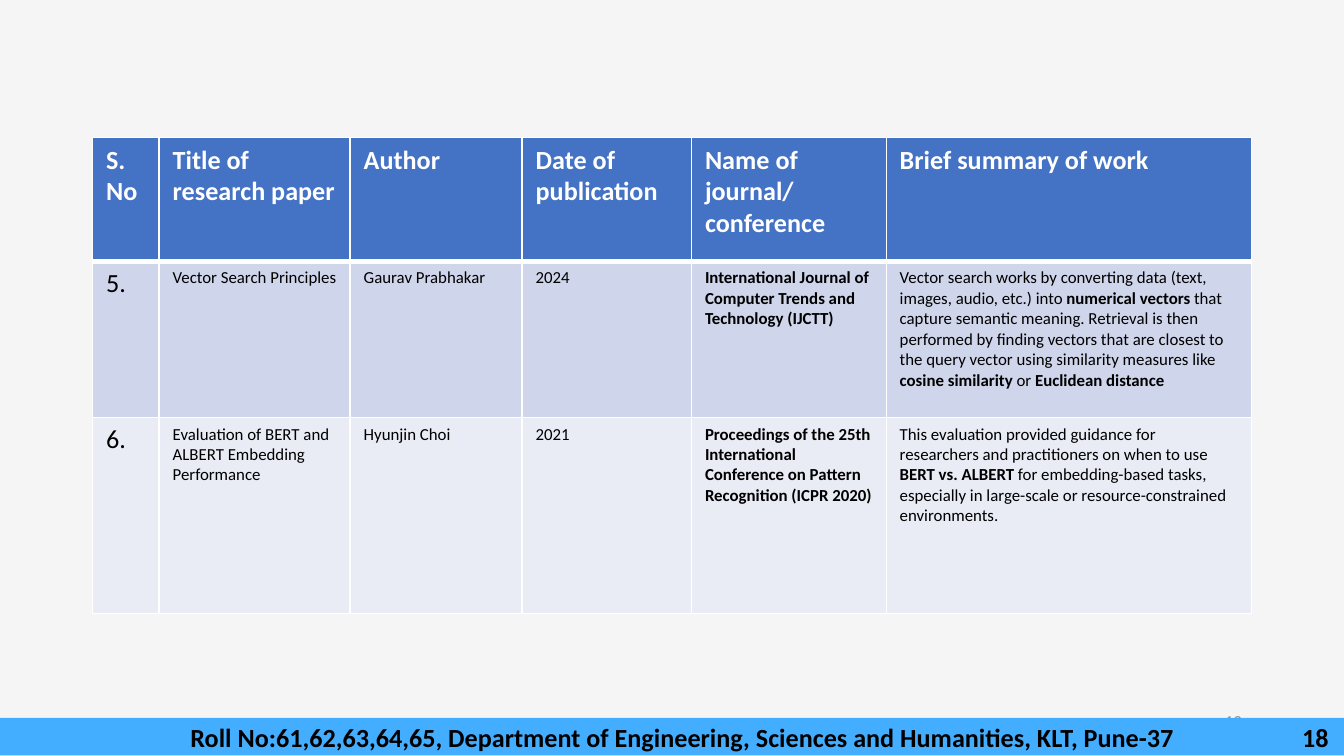
from lxml import etree
from pptx import Presentation
from pptx.dml.color import RGBColor
from pptx.enum.shapes import MSO_SHAPE
from pptx.enum.text import MSO_ANCHOR, PP_ALIGN
from pptx.oxml.ns import qn
from pptx.util import Cm, Pt

RECT = MSO_SHAPE.RECTANGLE
MIDDLE = MSO_ANCHOR.MIDDLE
LEFT, RIGHT = PP_ALIGN.LEFT, PP_ALIGN.RIGHT

WHITE = RGBColor(0xFF, 0xFF, 0xFF)
BLACK = RGBColor(0, 0, 0)
GRAY = RGBColor(0x8C, 0x8C, 0x8C)
PAPER = RGBColor(0xF5, 0xF5, 0xF5)
SKY = RGBColor(0x43, 0xAE, 0xFF)
BLUE = RGBColor(0x44, 0x72, 0xC4)
BANDS = [RGBColor(0xCF, 0xD5, 0xEA), RGBColor(0xE9, 0xEB, 0xF5)]

HEADS = ["S.\nNo", "Title of research paper", "Author", "Date of publication",
         "Name of journal/\nconference", "Brief summary of work"]
PAPERS = [
    ["5.", "Vector Search Principles", "Gaurav Prabhakar", "2024",
     "**International Journal of Computer Trends and Technology (IJCTT)**",
     "Vector search works by converting data (text, images, audio, etc.) into "
     "**numerical vectors** that capture semantic meaning. Retrieval is then "
     "performed by finding vectors that are closest to the query vector using "
     "similarity measures like **cosine similarity** or **Euclidean distance**"],
    ["6.", "Evaluation of BERT and ALBERT Embedding Performance", "Hyunjin Choi", "2021",
     "**Proceedings of the 25th International Conference on Pattern "
     "Recognition (ICPR 2020)**",
     "This evaluation provided guidance for researchers and practitioners on when "
     "to use **BERT vs. ALBERT** for embedding-based tasks, especially in "
     "large-scale or resource-constrained environments."],
]
FOOTER = ("\tRoll No:61,62,63,64,65, Department of Engineering, "
          "Sciences and Humanities, KLT, Pune-37\t18")
TABS = [(Cm(3.35), "l"), (Cm(24.86), "r")]
COLS = [1.26, 3.61, 3.25, 3.2, 3.68, 6.9]
ROWS = [2.34, 2.95, 3.71]

HEAD = {"size": Pt(14), "bold": True, "color": WHITE}
INDEX = {"size": Pt(14), "bold": False, "color": BLACK}
BODY = {**INDEX, "size": Pt(9)}
BAR = {**HEAD, "color": BLACK}
PAGE = {**BODY, "color": GRAY}


def write(frame, text, style, align=LEFT):
    for n, line in enumerate(text.split("\n")):
        para = frame.add_paragraph() if n else frame.paragraphs[0]
        para.alignment = align
        for k, part in enumerate(line.split("**")):
            if not part:
                continue
            run = para.add_run()
            run.text = part
            look = {"name": "Calibri", **style}
            look["bold"] = style["bold"] or k % 2 == 1
            run.font.color.rgb = look.pop("color")
            for key, value in look.items():
                setattr(run.font, key, value)


def paint(item, color):
    item.fill.solid()
    item.fill.fore_color.rgb = color


def edge(cell, sides):
    props = cell._tc.get_or_add_tcPr()
    for n, (side, width) in enumerate(sides.items()):
        line = etree.Element(qn("a:ln" + side), w=str(Pt(width)))
        fill = etree.SubElement(line, qn("a:solidFill"))
        etree.SubElement(fill, qn("a:srgbClr"), val=str(WHITE))
        props.insert(n, line)


def add_page(slide):
    box = slide.shapes.add_textbox(Cm(17.93), Cm(13.24), Cm(5.72), Cm(0.76))
    frame = box.text_frame
    look = {"word_wrap": True, "vertical_anchor": MIDDLE,
            "margin_left": Cm(0.18), "margin_right": Cm(0.18),
            "margin_top": Cm(0.1), "margin_bottom": Cm(0.1)}
    for key, value in look.items():
        setattr(frame, key, value)
    write(frame, "13", PAGE, RIGHT)


def add_bar(slide):
    bar = slide.shapes.add_shape(RECT, 0, Cm(13.57), Cm(25.4), Cm(0.71))
    bar.shadow.inherit = False
    paint(bar, SKY)
    bar.line.fill.background()
    frame = bar.text_frame
    frame.word_wrap = True
    frame.vertical_anchor = MIDDLE
    write(frame, FOOTER, BAR)
    props = frame.paragraphs[0]._p.get_or_add_pPr()
    stops = etree.SubElement(props, qn("a:tabLst"))
    for pos, kind in TABS:
        etree.SubElement(stops, qn("a:tab"), pos=str(pos), algn=kind)


def add_grid(slide):
    data = [HEADS] + PAPERS
    grid = slide.shapes.add_table(len(ROWS), len(COLS), Cm(1.75), Cm(2.6),
                                  Cm(sum(COLS)), Cm(sum(ROWS))).table
    for col, width in zip(grid.columns, COLS):
        col.width = Cm(width)
    for r, (row, height) in enumerate(zip(grid.rows, ROWS)):
        row.height = Cm(height)
        for c, cell in enumerate(row.cells):
            style = HEAD if r == 0 else BODY if c else INDEX
            write(cell.text_frame, data[r][c], style)
            paint(cell, BANDS[r - 1] if r else BLUE)
            edge(cell, {"L": 1, "R": 1, "T": 3 if r == 1 else 1,
                        "B": 1 if r else 3})


def main():
    deck = Presentation()
    deck.slide_width, deck.slide_height = Cm(25.4), Cm(14.29)
    slide = deck.slides.add_slide(deck.slide_layouts[6])
    paint(slide.background, PAPER)
    add_page(slide)
    add_bar(slide)
    add_grid(slide)
    deck.save("out.pptx")


if __name__ == "__main__":
    main()
